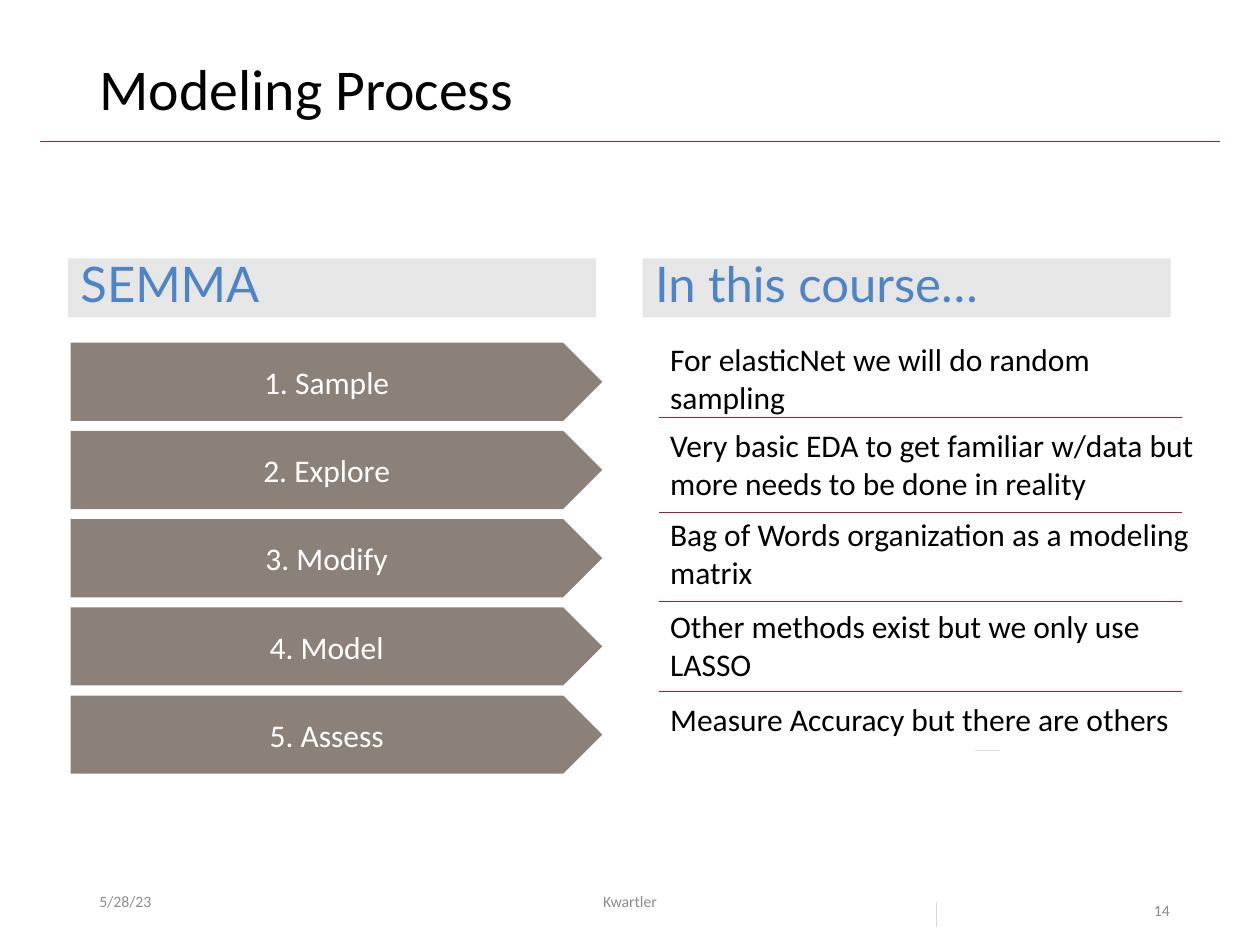
from dataclasses import dataclass

from lxml import etree
from pptx import Presentation
from pptx.dml.color import RGBColor
from pptx.enum import shapes, text
from pptx.oxml import ns
from pptx.util import Inches, Pt


@dataclass(frozen=True)
class Theme:
    """Colours, fonts and type sizes of the slide."""
    ink: str = "000000"
    white: str = "FFFFFF"
    muted: str = "8C8C8C"
    crimson: str = "A51C30"
    step: str = "8C8179"
    band: str = "E7E6E6"
    heading: str = "4E84C4"
    tick: str = "D9D9D9"
    body_font: str = "Calibri"
    heading_font: str = "Lato"
    title_size: int = 33
    heading_size: int = 28
    body_size: int = 18
    footer_size: int = 9


THEME = Theme()
LEFT, MIDDLE = text.PP_ALIGN.LEFT, text.MSO_ANCHOR.MIDDLE
CENTER, TOP = text.PP_ALIGN.CENTER, text.MSO_ANCHOR.TOP

HEADINGS = [("SEMMA", 0.54), ("In this course…", 5.1)]
STEPS = ["Sample", "Explore", "Modify", "Model", "Assess"]
STEP_TOP, STEP_PITCH = 2.72, 0.7
NOTES = [
    ("For elasticNet we will do random sampling", 2.65, 4.18, 0.71),
    ("Very basic EDA to get familiar w/data but more needs to be done in reality", 3.33, 4.78, 0.71),
    ("Bag of Words organization as a modeling matrix", 4.04, 4.55, 0.71),
    ("Other methods exist but we only use LASSO", 4.77, 4.18, 0.71),
    ("Measure Accuracy but there are others", 5.51, 4.18, 0.4),
]
DIVIDERS = [3.31, 4.07, 4.77, 5.49]


def write(holder, words, size, color, font=THEME.body_font, align=LEFT, anchor=TOP):
    """Put one formatted run into a shape and return its paragraph."""
    frame = holder.text_frame
    frame.word_wrap = True
    frame.auto_size = text.MSO_AUTO_SIZE.NONE
    frame.vertical_anchor = anchor
    paragraph = frame.paragraphs[0]
    paragraph.alignment = align
    run = paragraph.add_run()
    run.text = words
    run.font.size = Pt(size)
    run.font.name = font
    run.font.color.rgb = RGBColor.from_string(color)
    return paragraph


def add_label(slide, words, box, size, color, **layout):
    """Add a plain text box."""
    label = slide.shapes.add_textbox(*map(Inches, box))
    return write(label, words, size, color, **layout)


def add_panel(slide, preset, box, fill):
    """Add a flat filled shape without outline."""
    panel = slide.shapes.add_shape(preset, *map(Inches, box))
    panel.shadow.inherit = False
    panel.fill.solid()
    panel.fill.fore_color.rgb = RGBColor.from_string(fill)
    panel.line.fill.background()
    return panel


def add_rule(slide, start, end, color):
    """Add a thin straight line."""
    rule = slide.shapes.add_connector(
        shapes.MSO_CONNECTOR.STRAIGHT, *map(Inches, start + end))
    rule.line.color.rgb = RGBColor.from_string(color)
    rule.line.width = Pt(0.5)
    etree.SubElement(rule._element.spPr, ns.qn("a:effectLst"))


def add_title(slide, words):
    """Place and fill the title placeholder."""
    title = slide.shapes.title
    title.left, title.top, title.width, title.height = map(Inches, (0.69, 0.4, 8.62, 0.65))
    paragraph = write(title, words, THEME.title_size, THEME.ink, anchor=MIDDLE)
    paragraph.line_spacing = 0.9


def add_heading(slide, words, left):
    """Add a column heading on its grey band."""
    band = add_panel(slide, shapes.MSO_SHAPE.RECTANGLE, (left, 2.05, 4.19, 0.47), THEME.band)
    paragraph = write(band, words, THEME.heading_size, THEME.heading, font=THEME.heading_font)
    paragraph.line_spacing = 0.8
    paragraph.space_before = Pt(7.5)


def add_step(slide, number, name):
    """Add one numbered arrow of the process."""
    top = STEP_TOP + (number - 1) * STEP_PITCH
    arrow = add_panel(slide, shapes.MSO_SHAPE.PENTAGON, (0.56, top, 4.22, 0.62), THEME.step)
    write(arrow, f"{number}. {name}", THEME.body_size, THEME.white, align=CENTER, anchor=MIDDLE)


def add_footer(slide):
    """Add the date, the author and the slide number."""
    size, color = THEME.footer_size, THEME.muted
    add_label(slide, "5/28/23", (0.69, 6.95, 2.25, 0.4), size, color, anchor=MIDDLE)
    add_label(slide, "Kwartler", (3.31, 6.95, 3.38, 0.4), size, color, align=CENTER, anchor=MIDDLE)
    number = add_label(slide, "14", (9.06, 6.95, 0.94, 0.4), size, color)
    number.line_spacing = 2.0


def main():
    """Build the slide and save it."""
    deck = Presentation()
    deck.slide_width, deck.slide_height = Inches(10), Inches(7.5)
    slide = deck.slides.add_slide(deck.slide_layouts[5])

    add_title(slide, "Modeling Process")
    add_rule(slide, (0.32, 1.12), (9.68, 1.12), THEME.crimson)
    for number, name in enumerate(STEPS, 1):
        add_step(slide, number, name)
    for note, top, width, height in NOTES:
        add_label(slide, note, (5.22, top, width, height), THEME.body_size, THEME.ink)
    for y in DIVIDERS:
        add_rule(slide, (5.23, y), (9.38, y), THEME.crimson)
    for words, left in HEADINGS:
        add_heading(slide, words, left)
    add_rule(slide, (7.43, 7.16), (7.43, 7.36), THEME.tick)
    add_rule(slide, (7.74, 5.96), (7.94, 5.96), THEME.tick)
    add_footer(slide)

    deck.save("out.pptx")


if __name__ == "__main__":
    main()
